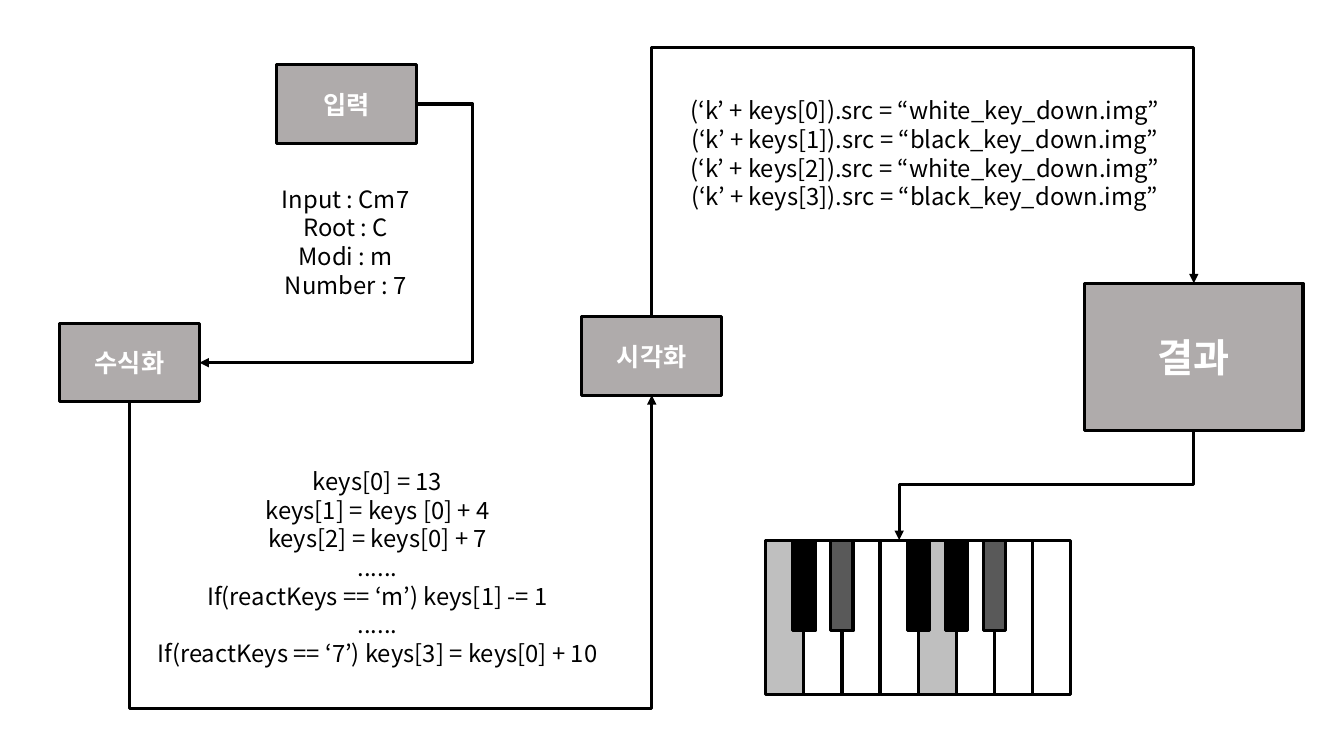
from lxml import etree
from pptx import Presentation
from pptx import util as u
from pptx.dml.color import RGBColor
from pptx.enum import shapes, text
from pptx.oxml import ns

TOP, LEFT, BOTTOM, RIGHT = range(4)


class Board:
    font = "Noto Sans CJK KR"
    hues = {"ink": "000000", "paper": "FFFFFF", "box": "AFABAB",
            "pale": "BFBFBF", "dark": "595959"}

    def __init__(self, slide):
        self.slide = slide

    def hue(self, name):
        return RGBColor.from_string(self.hues[name])

    def outline(self, line):
        line.color.rgb = self.hue("ink")
        line.width = u.Pt(2.25)

    def style(self, para, size, hue, bold=False):
        para.alignment = text.PP_ALIGN.CENTER
        font = para.font
        font.name, font.size, font.bold = self.font, u.Pt(size), bold
        font.color.rgb = self.hue(hue)
        etree.SubElement(font._element, ns.qn("a:ea"), typeface=self.font)

    def rect(self, x, y, w, h, hue, home=None):
        home = home or self.slide
        shape = home.shapes.add_shape(shapes.MSO_SHAPE.RECTANGLE,
                                      u.Cm(x), u.Cm(y), u.Cm(w), u.Cm(h))
        shape.shadow.inherit = False
        shape.fill.solid()
        shape.fill.fore_color.rgb = self.hue(hue)
        self.outline(shape.line)
        return shape

    def box(self, label, x, y, w=3.53, h=1.98, size=18):
        shape = self.rect(x, y, w, h, "box")
        frame = shape.text_frame
        frame.vertical_anchor = text.MSO_ANCHOR.MIDDLE
        frame.text = label
        self.style(frame.paragraphs[0], size, "paper", True)
        return shape

    def note(self, lines, x, y, w, h, wrap=True):
        frame = self.slide.shapes.add_textbox(
            u.Cm(x), u.Cm(y), u.Cm(w), u.Cm(h)).text_frame
        frame.word_wrap = wrap
        frame.text = "\n".join(lines)
        for para in frame.paragraphs:
            self.style(para, 17, "ink")
            para.line_spacing = u.Pt(20.5)

    def elbow(self, start, out, end, into, turn):
        link = self.slide.shapes.add_connector(
            shapes.MSO_CONNECTOR.ELBOW, 0, 0, 0, 0)
        link.begin_connect(start, out)
        link.end_connect(end, into)
        x, y = link.begin_x, link.begin_y
        dx, dy = link.end_x - x, link.end_y - y
        upright = out in (TOP, BOTTOM)
        if upright:
            run, rise, first = dy, -dx, y
        else:
            run, rise, first = dx, dy, x
        link.width, link.height = abs(run), abs(rise)
        link.left = x + (dx - abs(run)) // 2
        link.top = y + (dy - abs(rise)) // 2
        props = link._element.spPr
        frame = props.find(ns.qn("a:xfrm"))
        frame.set("rot", str(5400000 if upright else 0))
        frame.set("flipH", str(int(run < 0)))
        frame.set("flipV", str(int(rise < 0)))
        bend = round((u.Cm(turn) - first) / run * 100000)
        etree.SubElement(props.find(".//" + ns.qn("a:avLst")), ns.qn("a:gd"),
                         name="adj1", fmla=f"val {bend}")
        self.outline(link.line)
        etree.SubElement(link.line._get_or_add_ln(), ns.qn("a:tailEnd"),
                         type="triangle")
        etree.SubElement(props, ns.qn("a:effectLst"))

    def piano(self, x, y, step=0.96, wide=0.56):
        group = self.slide.shapes.add_group_shape()
        whites = [self.rect(x + i * step, y, step, 3.89,
                            "pale" if i in (0, 4) else "paper", group)
                  for i in range(8)]
        for i in (1, 2, 4, 5, 6):
            self.rect(x + i * step - wide / 2, y, wide, 2.29,
                      "dark" if i in (2, 6) else "ink", group)
        return whites


def main():
    deck = Presentation()
    deck.slide_width, deck.slide_height = u.Cm(33.87), u.Cm(19.05)
    board = Board(deck.slides.add_slide(deck.slide_layouts[6]))

    result = board.box("결과", 27.33, 7.14, 5.51, 3.71, 28)
    entry = board.box("입력", 6.96, 1.63)
    formula = board.box("수식화", 1.5, 8.15)
    visual = board.box("시각화", 14.66, 7.98)

    board.note(["Input : Cm7", "Root : C", "Modi : m", "Number : 7"],
               6.83, 4.52, 3.76, 3.18, wrap=False)
    board.note(["keys[0] = 13", "keys[1] = keys [0] + 4",
                "keys[2] = keys[0] + 7", "......",
                "If(reactKeys == ‘m’) keys[1] -= 1", "......",
                "If(reactKeys == ‘7’) keys[3] = keys[0] + 10"],
               1.5, 11.63, 16.03, 6.07)
    board.note([f"(‘k’ + keys[{i}]).src = “{tone}_key_down.img”"
                for i, tone in enumerate(["white", "black"] * 2)],
               16.21, 2.29, 14.2, 3.89)

    whites = board.piano(19.3, 13.61)
    board.elbow(entry, RIGHT, formula, RIGHT, 11.91)
    board.elbow(formula, BOTTOM, visual, BOTTOM, 17.86)
    board.elbow(visual, TOP, result, TOP, 1.19)
    board.elbow(result, BOTTOM, whites[3], TOP, 12.22)

    deck.save("out.pptx")


if __name__ == "__main__":
    main()
